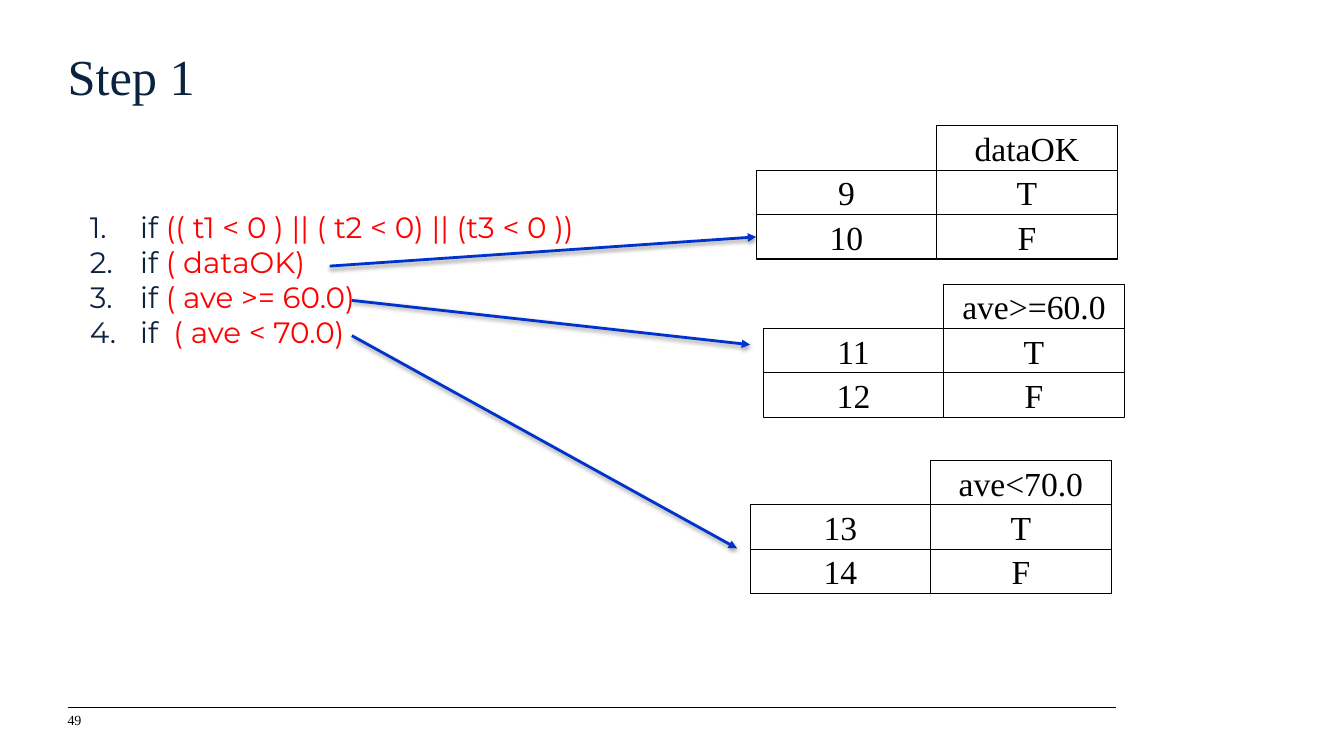
from lxml import etree
from pptx import Presentation
from pptx import util as u
from pptx.dml.color import RGBColor
from pptx.enum import shapes, text
from pptx.oxml import parse_xml
from pptx.oxml.ns import nsdecls, qn

SERIF, SANS = "Times New Roman", "Montserrat"
BLACK, NAVY, RED, BLUE = "000000", "0C2340", "FF0000", "0033CC"
CELL_WIDTH, CELL_HEIGHT = 1.79, 0.44
CONDITIONS = [
    ("if ", "(( t1 < 0 ) || ( t2 < 0) || (t3 < 0 ))"),
    ("if ", "( dataOK)"),
    ("if ", "( ave >= 60.0)"),
    ("if  ", "( ave < 70.0)"),
]
TRUTH_TABLES = [
    (7.5, 1.25, "dataOK", 9),
    (7.57, 2.82, "ave>=60.0", 11),
    (7.44, 4.57, "ave<70.0", 13),
]
ARROWS = [
    ((3.27, 2.64), (7.5, 2.35)),
    ((3.49, 2.98), (7.44, 3.42)),
    ((3.49, 3.33), (7.31, 5.44)),
]


def color(value):
    return RGBColor.from_string(value)


def apply(target, values):
    for name, value in values.items():
        setattr(target, name, value)


def place(shape, left, top, width, height):
    apply(shape, {"left": u.Inches(left), "top": u.Inches(top),
                  "width": u.Inches(width), "height": u.Inches(height)})


def style_font(font, name, size, shade):
    apply(font, {"name": name, "size": u.Pt(size)})
    font.color.rgb = color(shade)


def set_frame(shape, anchor=text.MSO_ANCHOR.TOP):
    frame = shape.text_frame
    apply(frame, {
        "auto_size": text.MSO_AUTO_SIZE.NONE, "word_wrap": True,
        "vertical_anchor": anchor, "margin_left": 0, "margin_top": 0,
        "margin_right": u.Inches(0.1), "margin_bottom": u.Inches(0.05)})
    return frame


def write_line(frame, words, size, shade, align=text.PP_ALIGN.LEFT):
    para = frame.paragraphs[0]
    para.text = words
    para.alignment = align
    style_font(para.runs[0].font, SERIF, size, shade)


def add_line(page, start, end, shade, width):
    line = page.shapes.add_connector(
        shapes.MSO_CONNECTOR.STRAIGHT, *map(u.Inches, start + end))
    line.line.color.rgb = color(shade)
    line.line.width = u.Pt(width)
    effects = etree.SubElement(line._element.spPr, qn("a:effectLst"))
    return line, effects


def add_arrow(page, start, end):
    arrow, effects = add_line(page, start, end, BLUE, 2)
    etree.SubElement(arrow.line._get_or_add_ln(), qn("a:tailEnd"), type="triangle")
    effects.append(parse_xml(
        f'<a:outerShdw {nsdecls("a")} blurRad="{u.Pt(3.1)}" dist="{u.Pt(1.6)}" '
        'dir="5400000" rotWithShape="0"><a:srgbClr val="000000">'
        '<a:alpha val="38000"/></a:srgbClr></a:outerShdw>'))
    return arrow


def add_cell(group, left, top, words):
    cell = group.shapes.add_shape(
        shapes.MSO_SHAPE.RECTANGLE,
        *map(u.Inches, (left, top, CELL_WIDTH, CELL_HEIGHT)))
    cell.shadow.inherit = False
    cell.fill.background()
    cell.line.color.rgb = color(BLACK)
    cell.line.width = u.Pt(0.75)
    apply(cell.text_frame, {"word_wrap": False,
                            "vertical_anchor": text.MSO_ANCHOR.MIDDLE})
    write_line(cell.text_frame, words, 24, BLACK, text.PP_ALIGN.CENTER)
    return cell


def add_truth_table(page, left, top, condition, first):
    group = page.shapes.add_group_shape()
    add_cell(group, left + CELL_WIDTH, top, condition)
    for row, outcome in enumerate("TF"):
        row_top = top + (row + 1) * CELL_HEIGHT
        number_cell = add_cell(group, left, row_top, str(first + row))
        add_cell(group, left + CELL_WIDTH, row_top, outcome)
    return number_cell


def fill_list(body):
    place(body, 0.89, 2.07, 5.2, 3.37)
    frame = set_frame(body)
    for index, parts in enumerate(CONDITIONS):
        para = frame.add_paragraph() if index else frame.paragraphs[0]
        apply(para, {"space_before": u.Pt(0), "alignment": text.PP_ALIGN.LEFT})
        props = para._p.get_or_add_pPr()
        props.set("marL", str(u.Inches(0.5)))
        props.set("indent", str(-u.Inches(0.5)))
        etree.SubElement(props, qn("a:buFont"), typeface=SANS)
        etree.SubElement(props, qn("a:buAutoNum"), type="arabicPeriod")
        style_font(para.font, SANS, 21, NAVY)
        for words, shade in zip(parts, (NAVY, RED)):
            span = para.add_run()
            span.text = words
            style_font(span.font, SANS, 21, shade)


def add_footer(page):
    add_line(page, (0.67, 7.02), (11.07, 7.02), BLACK, 0.75)
    box = page.shapes.add_textbox(*map(u.Inches, (0.67, 7.06, 0.53, 0.21)))
    write_line(set_frame(box, text.MSO_ANCHOR.MIDDLE), "49", 10, BLACK)


def main():
    deck = Presentation()
    apply(deck, {"slide_width": u.Inches(13.33), "slide_height": u.Inches(7.5)})
    page = deck.slides.add_slide(deck.slide_layouts[1])
    add_footer(page)
    title = page.shapes.title
    place(title, 0.67, 0.45, 10.41, 0.93)
    write_line(set_frame(title), "Step 1", 36, NAVY)
    fill_list(page.placeholders[1])
    last_numbers = [add_truth_table(page, *table) for table in TRUTH_TABLES]
    arrows = [add_arrow(page, *ends) for ends in ARROWS]
    arrows[0].end_connect(last_numbers[0], 1)
    deck.save("out.pptx")


if __name__ == "__main__":
    main()
